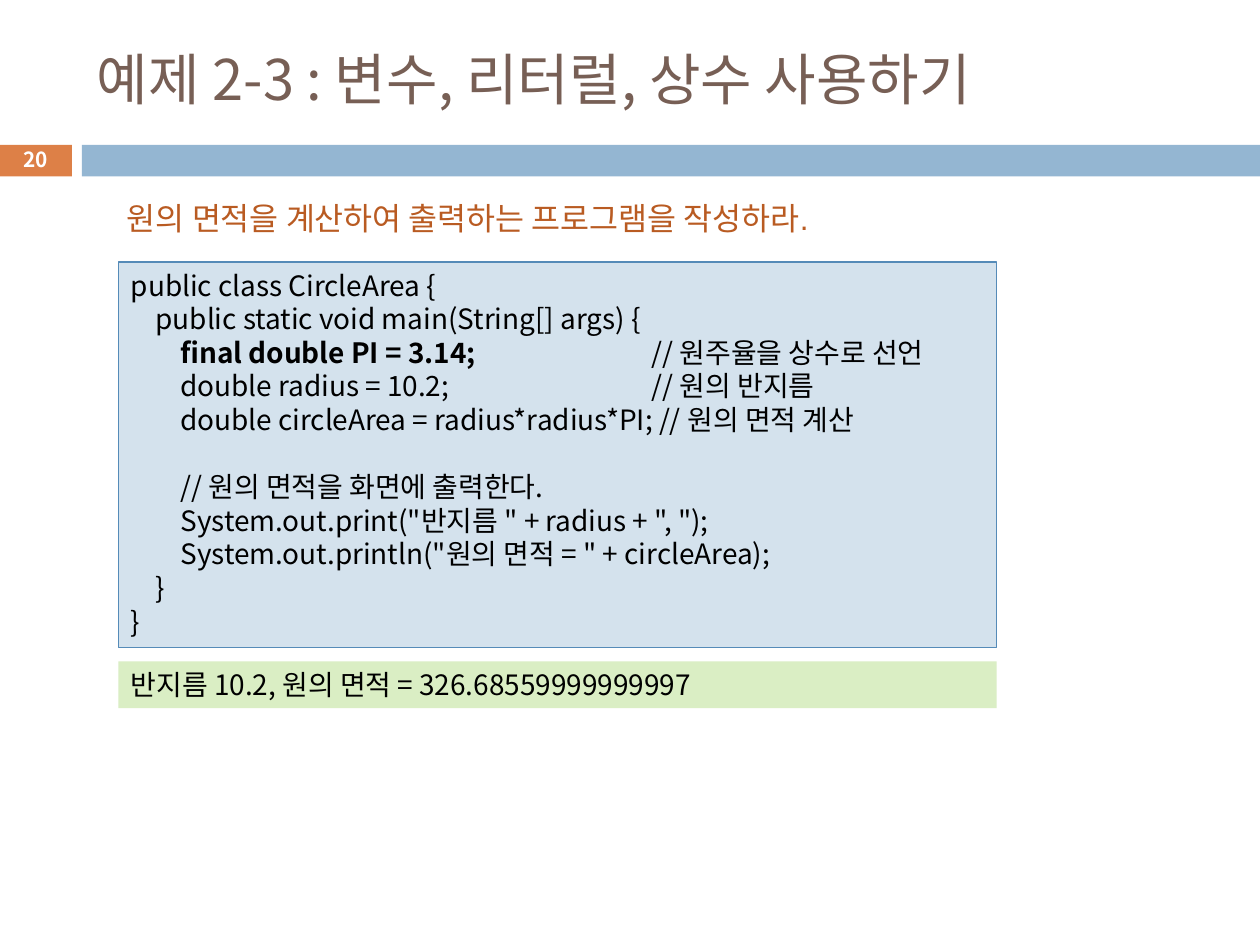
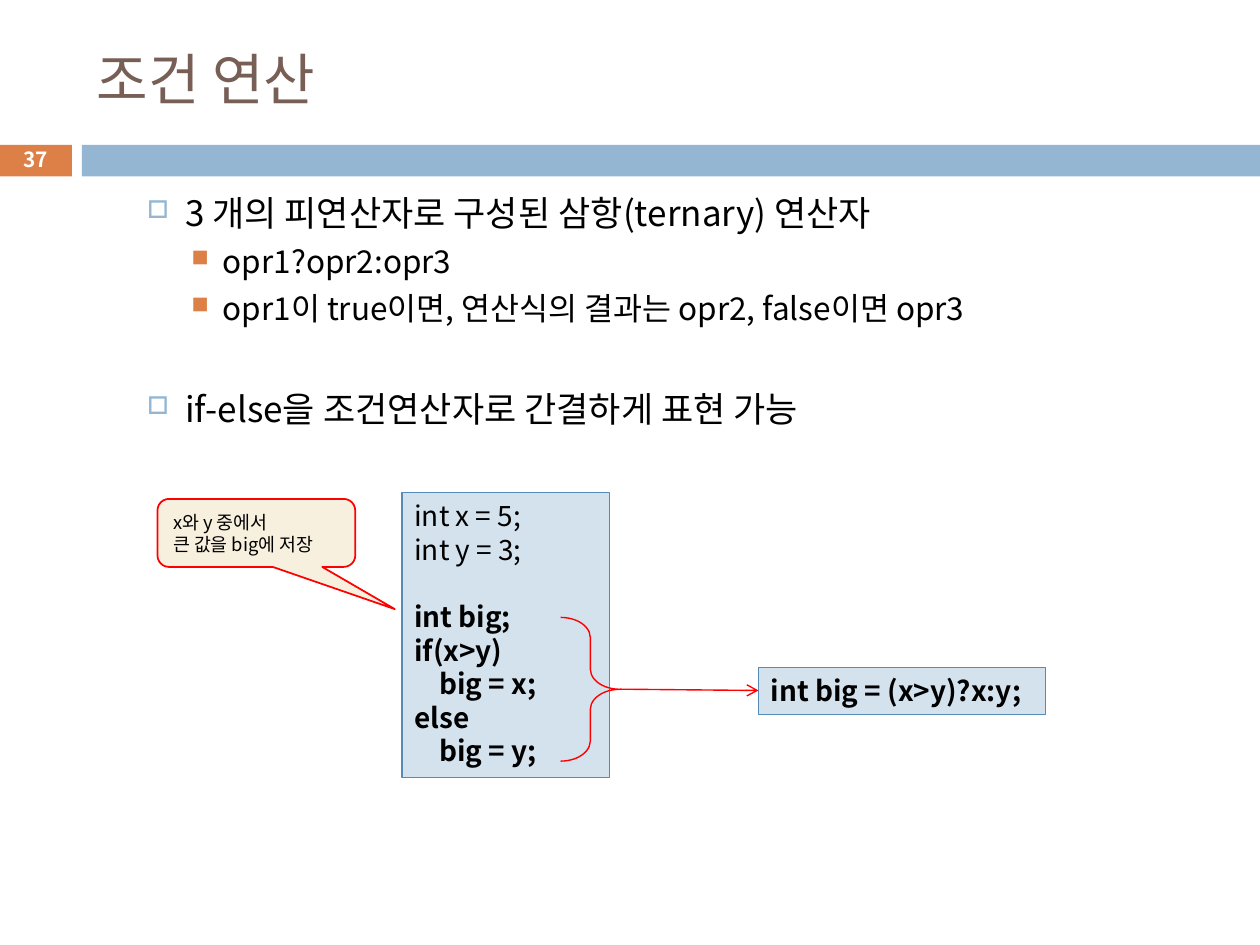
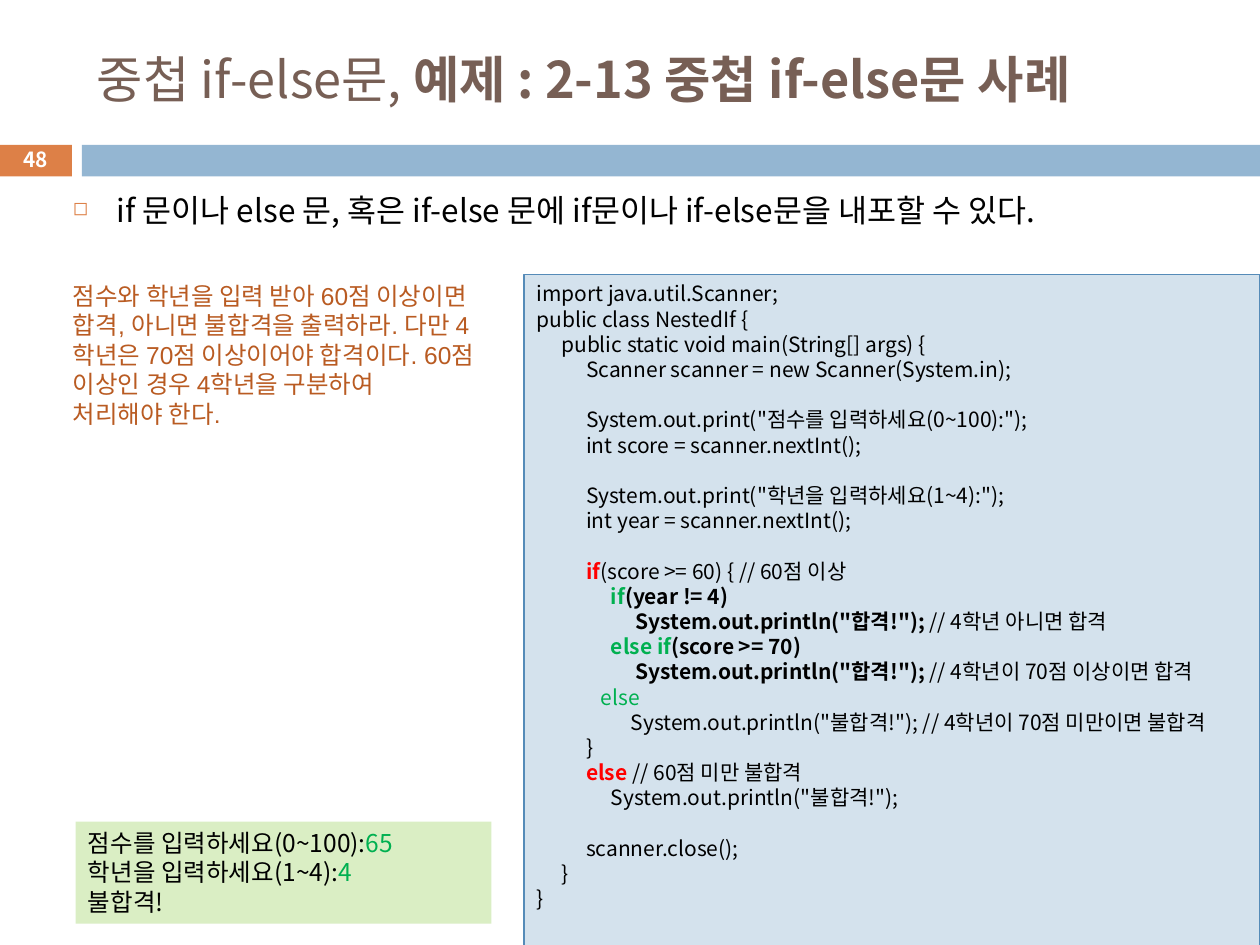
from dataclasses import dataclass
from typing import NamedTuple, Optional

from lxml import etree
from pptx import Presentation
from pptx.dml.color import RGBColor
from pptx.enum.shapes import MSO_CONNECTOR as Connector, MSO_SHAPE as Preset
from pptx.enum.text import MSO_ANCHOR as Anchor, PP_ALIGN as Align
from pptx.oxml.ns import qn
from pptx.util import Cm, Inches, Pt

# Shared look
COLORS = {
    "text": "000000", "title": "775F55", "task": "B95B22", "white": "FFFFFF",
    "orange": "DD8047", "blue": "94B6D2", "code": "D4E2ED", "code_line": "558BB8",
    "output": "DAEEC4", "note": "F7F0DE", "red": "FF0000", "green": "00B050",
}
SANS, ARIAL = "Noto Sans CJK KR", "Arial"
LINE_HEIGHT = 1.2
TAB = Cm(0.5)
COMMENT_TAB = 21


class Box(NamedTuple):
    left: float
    top: float
    width: float
    height: float

    def inches(self) -> list:
        return [Inches(value) for value in self]


class Run(NamedTuple):
    text: str
    bold: bool = False
    color: Optional[str] = None


class Bullet(NamedTuple):
    char: str
    color: str
    percent: int
    margin: float
    hanging: float


@dataclass
class Line:
    """One paragraph; depth counts code tabs, blank counts empty lines above."""
    runs: list
    depth: float = 0
    blank: int = 0
    before: float = 0
    size: Optional[float] = None
    bullet: Optional[Bullet] = None


@dataclass
class Style:
    size: float
    color: str = "text"
    font: str = SANS
    bold: bool = False
    align: Align = Align.LEFT
    anchor: Anchor = Anchor.TOP
    wrap: bool = True


TITLE = Style(32, "title", anchor=Anchor.MIDDLE)
NUMBER = Style(11.9, "white", bold=True, align=Align.CENTER, anchor=Anchor.MIDDLE)
OUTER = Bullet("□", "blue", 70, 0.7, 0.3)
INNER = Bullet("■", "orange", 75, 1, 0.25)
WIDE = Bullet("◻", "orange", 60, 0.35, 0.35)


def rgb(name: str) -> RGBColor:
    return RGBColor.from_string(COLORS[name])


def set_all(target, values: dict) -> None:
    for name, value in values.items():
        setattr(target, name, value)


def code(depth: float, *parts, blank: int = 0) -> Line:
    runs = [Run(part) if isinstance(part, str) else part for part in parts]
    return Line(runs, depth, blank)


def plain(*texts: str) -> list:
    return [Line([Run(text)]) for text in texts]


# Text
def add_bullet(properties, bullet: Bullet) -> None:
    properties.set("marL", str(Inches(bullet.margin)))
    properties.set("indent", str(-Inches(bullet.hanging)))
    color = etree.SubElement(properties, qn("a:buClr"))
    etree.SubElement(color, qn("a:srgbClr"), val=COLORS[bullet.color])
    etree.SubElement(properties, qn("a:buSzPct"), val=str(bullet.percent * 1000))
    etree.SubElement(properties, qn("a:buChar"), char=bullet.char)


def add_tabs(properties, depth: float) -> None:
    tabs = etree.SubElement(properties, qn("a:tabLst"))
    for stop in (depth, COMMENT_TAB):
        etree.SubElement(tabs, qn("a:tab"), pos=str(int(stop * TAB)), algn="l")


def add_run(paragraph, run: Run, size: float, style: Style) -> None:
    text_run = paragraph.add_run()
    text_run.text = run.text
    set_all(text_run.font, {"size": Pt(size), "name": style.font,
                            "bold": run.bold or style.bold})
    text_run.font.color.rgb = rgb(run.color or style.color)
    if style.font == SANS:
        properties = text_run.font._element
        etree.SubElement(properties, qn("a:ea"), typeface=SANS)


def write(shape, lines: list, style: Style) -> None:
    frame = shape.text_frame
    set_all(frame, {"word_wrap": style.wrap, "vertical_anchor": style.anchor})
    for index, line in enumerate(lines):
        paragraph = frame.add_paragraph() if index else frame.paragraphs[0]
        size = line.size or style.size
        height = size * LINE_HEIGHT
        set_all(paragraph, {"alignment": style.align, "line_spacing": Pt(height),
                            "space_before": Pt(line.before + line.blank * height)})
        properties = paragraph._p.get_or_add_pPr()
        if line.bullet:
            add_bullet(properties, line.bullet)
        runs = line.runs
        if line.depth:
            add_tabs(properties, line.depth)
            runs = [Run("\t"), *runs]
        for run in runs:
            add_run(paragraph, run, size, style)


def add_text(slide, box: Box, lines: list, style: Style) -> None:
    write(slide.shapes.add_textbox(*box.inches()), lines, style)


# Shapes
def add_shape(slide, box: Box, fill: Optional[str] = None, line: Optional[str] = None,
              width: float = 0.75, preset: Preset = Preset.RECTANGLE, adjust: tuple = ()):
    shape = slide.shapes.add_shape(preset, *box.inches())
    shape.shadow.inherit = False
    if fill:
        shape.fill.solid()
        shape.fill.fore_color.rgb = rgb(fill)
    else:
        shape.fill.background()
    if line:
        shape.line.color.rgb = rgb(line)
        shape.line.width = Pt(width)
    else:
        shape.line.fill.background()
    for index, value in enumerate(adjust):
        shape.adjustments[index] = value
    return shape


def add_code(slide, box: Box, lines: list, size: float = 16) -> None:
    write(add_shape(slide, box, "code", "code_line"), lines, Style(size))


def add_output(slide, box: Box, lines: list, size: float) -> None:
    write(add_shape(slide, box, "output"), lines, Style(size))


def add_arrow(slide, start: tuple, end: tuple) -> None:
    points = [Inches(value) for value in (*start, *end)]
    connector = slide.shapes.add_connector(Connector.STRAIGHT, *points)
    connector.line.color.rgb = rgb("red")
    connector.line.width = Pt(0.79)
    etree.SubElement(connector.line._get_or_add_ln(), qn("a:tailEnd"), type="arrow")
    etree.SubElement(connector._element.spPr, qn("a:effectLst"))


def add_base(presentation, number: int, title: list, size: float = 32):
    """Blank slide with the bands, title and page number."""
    slide = presentation.slides.add_slide(presentation.slide_layouts[6])
    add_shape(slide, Box(-0.01, 1.15, 0.58, 0.25), "orange")
    add_shape(slide, Box(0.65, 1.15, 9.35, 0.25), "blue")
    add_text(slide, Box(0.67, 0.25, 8.92, 0.74), [Line(title, size=size)], TITLE)
    add_text(slide, Box(-0.01, 1.13, 0.58, 0.27), plain(str(number)), NUMBER)
    return slide


# Slides
def build_circle_area(presentation) -> None:
    slide = add_base(presentation, 20, [Run("예제 2-3 : 변수, 리터럴, 상수 사용하기")])
    add_code(slide, Box(0.94, 2.08, 6.97, 3.06), [
        code(0, "public class CircleArea {"),
        code(1, "public static void main(String[] args) {"),
        code(2, Run("final double PI = 3.14;\t", True), "// 원주율을 상수로 선언"),
        code(2, "double radius = 10.2;\t// 원의 반지름"),
        code(2, "double circleArea = radius*radius*PI; // 원의 면적 계산"),
        code(2, "// 원의 면적을 화면에 출력한다.", blank=1),
        code(2, 'System.out.print("반지름 " + radius + ", ");'),
        code(2, 'System.out.println("원의 면적 = " + circleArea);'),
        code(1, "}"),
        code(0, "}"),
    ])
    add_text(slide, Box(0.91, 1.53, 6.33, 0.4),
             plain("원의 면적을 계산하여 출력하는 프로그램을 작성하라."),
             Style(18, "task", ARIAL, wrap=False))
    add_output(slide, Box(0.94, 5.25, 6.97, 0.37),
               plain("반지름 10.2, 원의 면적 = 326.68559999999997"), 16)


def build_conditional(presentation) -> None:
    slide = add_base(presentation, 37, [Run("조건 연산")])
    add_text(slide, Box(0.67, 1.47, 8.92, 5.51), [
        Line([Run("3 개의 피연산자로 구성된 삼항(ternary) 연산자")], before=5.5, bullet=OUTER),
        Line([Run("opr1?opr2:opr3")], before=5, size=18, bullet=INNER),
        Line([Run("opr1이 true이면, 연산식의 결과는 opr2, false이면 opr3")],
             before=5, size=18, bullet=INNER),
        Line([Run("if-else을 조건연산자로 간결하게 표현 가능")],
             before=11, blank=1, bullet=OUTER),
    ], Style(20))
    add_code(slide, Box(3.19, 3.91, 1.65, 2.26), [
        code(0, "int x = 5;"),
        code(0, "int y = 3;"),
        code(0, Run("int big;", True), blank=1),
        code(0, Run("if(x>y)", True)),
        code(1, Run("big = x;", True)),
        code(0, Run("else", True)),
        code(1, Run("big = y;", True)),
    ])
    add_code(slide, Box(6.02, 5.3, 2.28, 0.37), [code(0, Run("int big = (x>y)?x:y;", True))])

    # Brace, arrow and callout
    brace = add_shape(slide, Box(4.45, 4.9, 0.47, 1.14), line="red", width=0.79,
                      preset=Preset.LEFT_BRACE, adjust=(0.34, 0.5))
    brace.rotation = 180
    add_arrow(slide, (4.92, 5.47), (6.02, 5.48))
    callout = add_shape(slide, Box(1.25, 3.96, 1.57, 0.54), "note", "red", 1,
                        Preset.ROUNDED_RECTANGULAR_CALLOUT, (0.7, 1.12, 0.17))
    write(callout, plain("x와 y 중에서", "큰 값을 big에 저장"),
          Style(10.5, anchor=Anchor.MIDDLE))


def build_nested_if(presentation) -> None:
    slide = add_base(presentation, 48, [
        Run("중첩 if-else문, "), Run("예제 : 2-13 중첩 if-else문 사례", True)], 28.8)
    add_text(slide, Box(0.48, 1.47, 9.11, 5.51), [
        Line([Run("if 문이나 else 문, 혹은 if-else 문에 if문이나 if-else문을 내포할 수 있다.")],
             before=7, bullet=WIDE)], Style(18))
    add_text(slide, Box(0.48, 2.18, 3.57, 1.28), plain(
        "점수와 학년을 입력 받아 60점 이상이면 합격, 아니면 불합격을 출력하라. 다만 "
        "4학년은 70점 이상이어야 합격이다. 60점 이상인 경우 4학년을 구분하여",
        "처리해야 한다."), Style(14, "task", ARIAL))
    passed = Run('System.out.println("합격!"); ', True)
    add_code(slide, Box(4.16, 2.18, 5.84, 5.35), [
        code(0, "import java.util.Scanner;"),
        code(0, "public class NestedIf {"),
        code(1, "public static void main(String[] args) {"),
        code(2, "Scanner scanner = new Scanner(System.in);"),
        code(2, 'System.out.print("점수를 입력하세요(0~100):");', blank=1),
        code(2, "int score = scanner.nextInt();"),
        code(2, 'System.out.print("학년을 입력하세요(1~4):");', blank=1),
        code(2, "int year = scanner.nextInt();"),
        code(2, Run("if", True, "red"), "(score >= 60) { // 60점 이상", blank=1),
        code(3, Run("if", True, "green"), Run("(year != 4)", True)),
        code(4, passed, "// 4학년 아니면 합격"),
        code(3, Run("else if", True, "green"), Run("(score >= 70)", True)),
        code(4, passed, "// 4학년이 70점 이상이면 합격"),
        code(2.6, Run("else", color="green")),
        code(3.8, 'System.out.println("불합격!"); // 4학년이 70점 미만이면 불합격'),
        code(2, "}"),
        code(2, Run("else ", True, "red"), "// 60점 미만 불합격"),
        code(3, 'System.out.println("불합격!");'),
        code(2, "scanner.close();", blank=1),
        code(1, "}"),
        code(0, "}"),
    ], 12)
    add_output(slide, Box(0.6, 6.52, 3.3, 0.81), [
        Line([Run("점수를 입력하세요(0~100):"), Run("65", color="green")]),
        Line([Run("학년을 입력하세요(1~4):"), Run("4", color="green")]),
        *plain("불합격!"),
    ], 14)


def main() -> None:
    presentation = Presentation()
    set_all(presentation, {"slide_width": Inches(10), "slide_height": Inches(7.5)})
    for build in (build_circle_area, build_conditional, build_nested_if):
        build(presentation)
    presentation.save("out.pptx")


if __name__ == "__main__":
    main()
